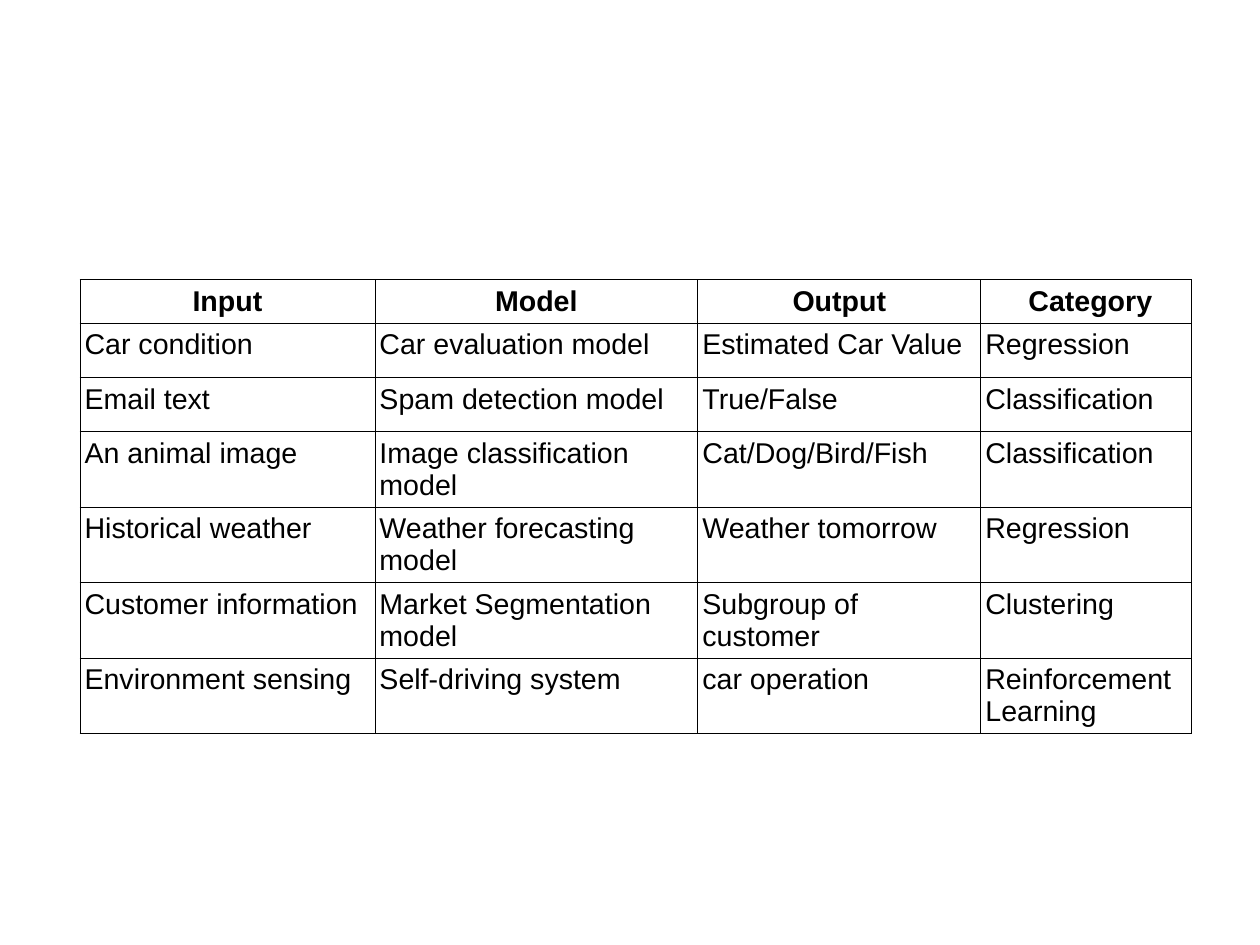
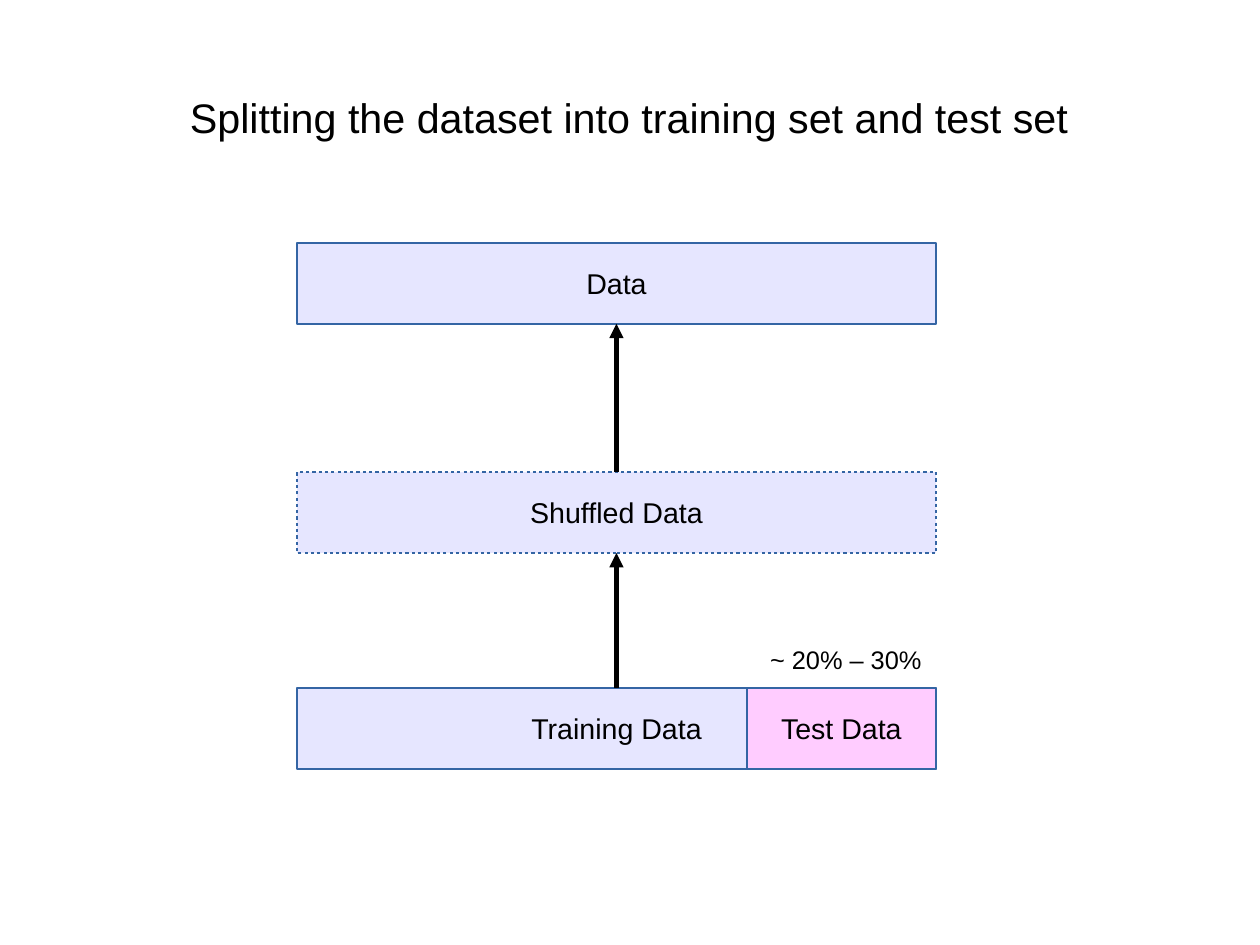
"""Build a table of learning examples and a diagram of splitting a dataset."""
from dataclasses import dataclass

from lxml import etree
from pptx import Presentation
from pptx import util as u
from pptx.dml.color import RGBColor
from pptx.enum import shapes, text
from pptx.oxml import ns

FONT = "Arial"
BLACK = RGBColor(0x00, 0x00, 0x00)
LAVENDER = RGBColor(0xE6, 0xE6, 0xFF)
PINK = RGBColor(0xFF, 0xCC, 0xFF)
BLUE = RGBColor(0x34, 0x65, 0xA4)

WIDTH, HEIGHT = u.Cm(28), u.Cm(21)
TITLE_ONLY, BLANK = 5, 6
TOP_SITE, BOTTOM_SITE = 0, 2

BAR_LEFT, BAR_WIDTH, BAR_HEIGHT = 23.57, 50.71, 8.57
TEST_WIDTH = 15
TEST_LEFT = BAR_LEFT + BAR_WIDTH - TEST_WIDTH
SPLIT_TOP = 72.8

TABLE_LEFT, TABLE_TOP = 6.35, 29.6
COLUMN_SHARES = (23.41, 25.63, 22.46, 16.75)
ROW_SHARES = (4.5, 5.75, 5.75, 7.98, 7.98, 7.98, 7.98)
TABLE_TEXT = (
    ("Input", "Model", "Output", " Category"),
    ("Car condition", "Car evaluation model", "Estimated Car Value", "Regression"),
    ("Email text", "Spam detection model", "True/False", "Classification"),
    ("An animal image", "Image classification model", "Cat/Dog/Bird/Fish", "Classification"),
    ("Historical weather", "Weather forecasting model", "Weather tomorrow", "Regression"),
    ("Customer information", "Market Segmentation model", "Subgroup of customer", "Clustering"),
    ("Environment sensing", "Self-driving system", "car operation", "Reinforcement Learning"),
)


@dataclass(frozen=True)
class Area:
    """A rectangle in percent of the slide's width and height."""

    left: float
    top: float
    width: float
    height: float

    def lengths(self) -> tuple:
        return across(self.left), down(self.top), across(self.width), down(self.height)


@dataclass(frozen=True)
class Bar:
    """A labelled block of data."""

    label: str
    area: Area
    fill: RGBColor = LAVENDER
    line_width: float = 1
    dashed: bool = False


DATA = Bar("Data", Area(BAR_LEFT, 25.7, BAR_WIDTH, BAR_HEIGHT), line_width=1.5)
SHUFFLED = Bar("Shuffled Data", Area(BAR_LEFT, 49.95, BAR_WIDTH, BAR_HEIGHT), dashed=True)
TRAINING = Bar("Training Data", Area(BAR_LEFT, SPLIT_TOP, BAR_WIDTH, BAR_HEIGHT))
TEST = Bar("Test Data", Area(TEST_LEFT, SPLIT_TOP, TEST_WIDTH, BAR_HEIGHT), PINK)


def across(share: float) -> int:
    return round(WIDTH * share / 100)


def down(share: float) -> int:
    return round(HEIGHT * share / 100)


def write(frame, words: str, size: float, bold: bool = False, centred: bool = True) -> None:
    para = frame.paragraphs[0]
    para.alignment = text.PP_ALIGN.CENTER if centred else text.PP_ALIGN.LEFT
    span = para.add_run()
    span.text = words
    span.font.name = FONT
    span.font.size = u.Pt(size)
    span.font.bold = bold
    span.font.color.rgb = BLACK


def set_margins(target, side: float, edge: float) -> None:
    target.margin_left = target.margin_right = u.Inches(side)
    target.margin_top = target.margin_bottom = u.Inches(edge)


def add_title(page, words: str) -> None:
    title = page.shapes.title
    title.left, title.top, title.width, title.height = Area(5, 4, 90, 16.7).lengths()
    frame = title.text_frame
    set_margins(frame, 0, 0)
    frame.vertical_anchor = text.MSO_ANCHOR.MIDDLE
    write(frame, words, 26)


def add_bar(page, bar: Bar):
    box = page.shapes.add_shape(shapes.MSO_SHAPE.RECTANGLE, *bar.area.lengths())
    box.shadow.inherit = False
    box.fill.solid()
    box.fill.fore_color.rgb = bar.fill
    box.line.color.rgb = BLUE
    box.line.width = u.Pt(bar.line_width)
    if bar.dashed:
        outline = box.element.spPr.find(ns.qn("a:ln"))
        pattern = etree.SubElement(outline, ns.qn("a:custDash"))
        etree.SubElement(pattern, ns.qn("a:ds"), d="200000", sp="200000")
    frame = box.text_frame
    frame.word_wrap = False
    frame.vertical_anchor = text.MSO_ANCHOR.MIDDLE
    set_margins(frame, 0.11, 0.06)
    write(frame, bar.label, 18)
    return box


def add_arrow(page, lower, upper) -> None:
    arrow = page.shapes.add_connector(shapes.MSO_CONNECTOR.STRAIGHT, 0, 0, 0, 0)
    arrow.begin_connect(lower, TOP_SITE)
    arrow.end_connect(upper, BOTTOM_SITE)
    arrow.line.color.rgb = BLACK
    arrow.line.width = u.Pt(3)
    properties = arrow.element.spPr
    etree.SubElement(properties.find(ns.qn("a:ln")), ns.qn("a:tailEnd"), type="triangle")
    etree.SubElement(properties, ns.qn("a:effectLst"))


def add_borders(cell) -> None:
    properties = cell._tc.get_or_add_tcPr()
    for side in ("a:lnL", "a:lnR", "a:lnT", "a:lnB"):
        border = etree.SubElement(properties, ns.qn(side), w=str(u.Pt(0.57)))
        fill = etree.SubElement(border, ns.qn("a:solidFill"))
        etree.SubElement(fill, ns.qn("a:srgbClr"), val=str(BLACK))


def add_examples_table(page) -> None:
    area = Area(TABLE_LEFT, TABLE_TOP, sum(COLUMN_SHARES), sum(ROW_SHARES))
    table = page.shapes.add_table(len(ROW_SHARES), len(COLUMN_SHARES), *area.lengths()).table
    table.first_row = table.horz_banding = False
    for column, share in zip(table.columns, COLUMN_SHARES):
        column.width = across(share)
    for index, (row, share, words) in enumerate(zip(table.rows, ROW_SHARES, TABLE_TEXT)):
        row.height = down(share)
        header = index == 0
        for cell, label in zip(row.cells, words):
            add_borders(cell)
            cell.fill.background()
            set_margins(cell, 0.04, 0.05)
            write(cell.text_frame, label, 18, bold=header, centred=header)


def add_split_diagram(page) -> None:
    add_title(page, "Splitting the dataset into training set and test set")
    data, shuffled, training = (add_bar(page, bar) for bar in (DATA, SHUFFLED, TRAINING))
    add_arrow(page, shuffled, data)
    add_arrow(page, training, shuffled)
    add_bar(page, TEST)
    share = page.shapes.add_textbox(*Area(TEST_LEFT, 67.6, 15.7, 8).lengths())
    share.text_frame.word_wrap = True
    write(share.text_frame, "~ 20% – 30%", 16)


def main() -> None:
    deck = Presentation()
    deck.slide_width = WIDTH
    deck.slide_height = HEIGHT
    add_examples_table(deck.slides.add_slide(deck.slide_layouts[BLANK]))
    add_split_diagram(deck.slides.add_slide(deck.slide_layouts[TITLE_ONLY]))
    deck.save("out.pptx")


if __name__ == "__main__":
    main()
